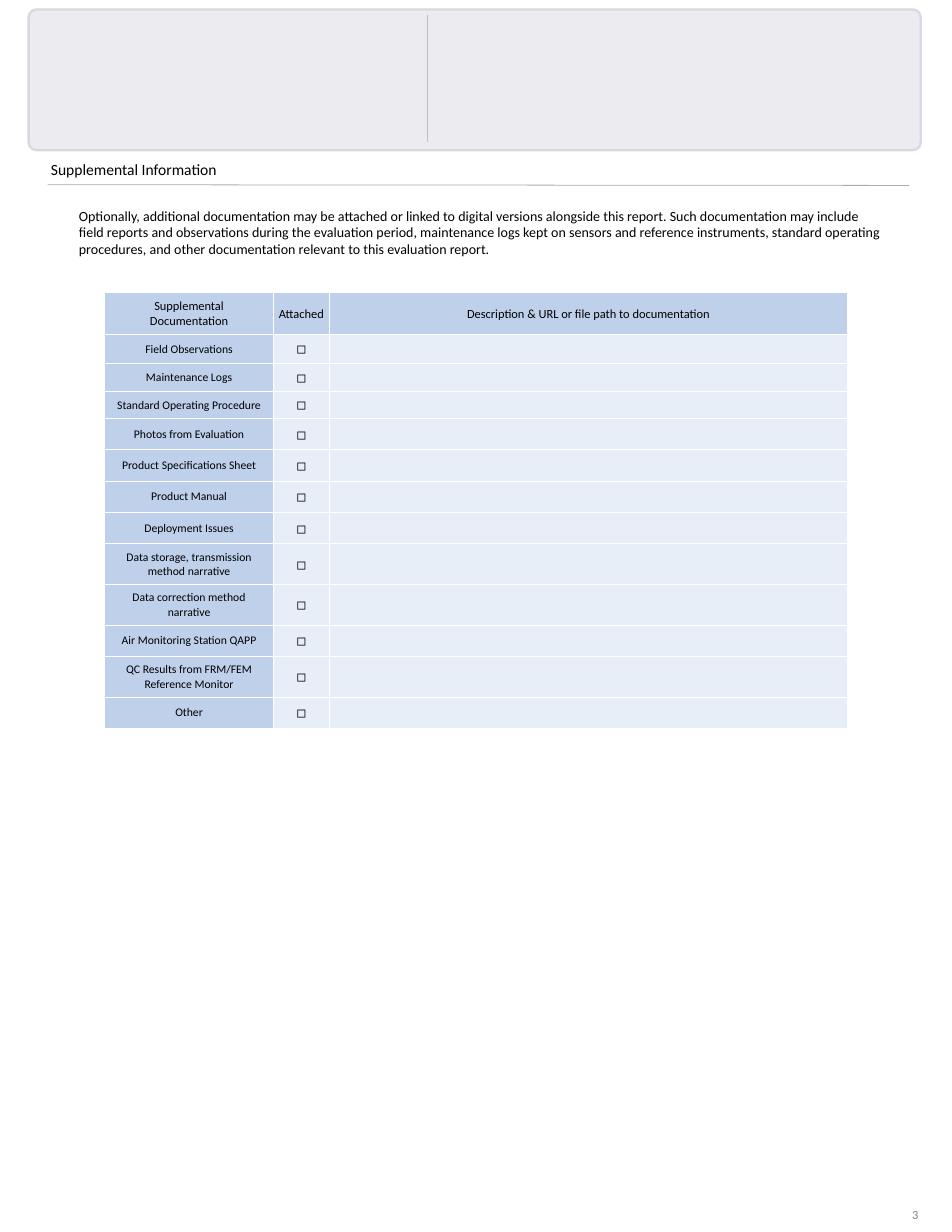
"""Build the supplemental information page of an evaluation report."""
from lxml.etree import SubElement
from pptx import Presentation
from pptx.dml.color import RGBColor
from pptx.enum.shapes import MSO_CONNECTOR, MSO_SHAPE
from pptx.enum.text import MSO_ANCHOR, PP_ALIGN
from pptx.oxml.ns import qn
from pptx.util import Cm, Pt

COLORS = {
    "banner": "ECECF0", "banner_edge": "D6D8E2", "divider": "BFBFBF",
    "rule": "AFABAB", "label": "BFD0EB", "entry": "E8EEF8",
    "border": "FFFFFF", "text": "000000", "page_number": "808080",
}
HEADINGS = ["Supplemental Documentation", "Attached",
            "Description & URL or file path to documentation"]
DOCUMENTS = [
    "Field Observations", "Maintenance Logs", "Standard Operating Procedure",
    "Photos from Evaluation", "Product Specifications Sheet", "Product Manual",
    "Deployment Issues", "Data storage, transmission method narrative",
    "Data correction method narrative", "Air Monitoring Station QAPP",
    "QC Results from FRM/FEM Reference Monitor", "Other",
]
CHECKBOX = "\u25fb"
INTRODUCTION = (
    "Optionally, additional documentation may be attached or linked to digital "
    "versions alongside this report. Such documentation may include field reports "
    "and observations during the evaluation period, maintenance logs kept on sensors "
    "and reference instruments, standard operating procedures, and other "
    "documentation relevant to this evaluation report."
)
COLUMN_WIDTHS = [7.65, 2.54, 23.5]
ROW_HEIGHTS = [1.85, 1.32, 1.27, 1.22] + [1.42] * 4 + [1.85] * 2 + [1.42, 1.85, 1.4]
WIDE_MARGINS = {"margin_left": Cm(0.56), "margin_right": Cm(0.56),
                "margin_top": Cm(0.28), "margin_bottom": Cm(0.28)}
TIGHT_MARGINS = {"margin_left": Cm(0.05), "margin_right": Cm(0.05),
                 "margin_top": Cm(0.05), "margin_bottom": Cm(0)}


def rgb(name):
    """Return the named colour."""
    return RGBColor.from_string(COLORS[name])


def apply(target, values):
    """Set each attribute in values on the target."""
    for attribute, value in values.items():
        setattr(target, attribute, value)


def write(frame, wording, size, color="text"):
    """Put one run of text in a frame and return its paragraph."""
    paragraph = frame.paragraphs[0]
    run = paragraph.add_run()
    run.text = wording
    apply(run.font, {"name": "Calibri", "size": Pt(size), "bold": False})
    run.font.color.rgb = rgb(color)
    return paragraph


def add_text(slide, box, wording, size, color="text"):
    """Add wrapped text in a box and return its paragraph."""
    frame = slide.shapes.add_textbox(*map(Cm, box)).text_frame
    frame.word_wrap = True
    return write(frame, wording, size, color)


def add_line(slide, start, end, color):
    """Draw a thin line without a shadow."""
    line = slide.shapes.add_connector(
        MSO_CONNECTOR.STRAIGHT, *map(Cm, (*start, *end)))
    line.line.color.rgb = rgb(color)
    line.line.width = Pt(1)
    SubElement(line._element.spPr, qn("a:effectLst"))


def add_banner(slide, box):
    """Add the rounded banner with its divider."""
    left, top, width, height = box
    banner = slide.shapes.add_shape(MSO_SHAPE.ROUNDED_RECTANGLE, *map(Cm, box))
    banner.shadow.inherit = False
    banner.adjustments[0] = 0.055
    banner.fill.solid()
    banner.fill.fore_color.rgb = rgb("banner")
    banner.line.color.rgb = rgb("banner_edge")
    banner.line.width = Pt(3)
    divider = left + 18.08
    add_line(slide, (divider, top + 0.23), (divider, top + height - 0.36), "divider")


def add_section(slide, box):
    """Add the section heading, its rule and the introduction."""
    left, top, width, height = box
    add_text(slide, (left, top, 8.03, 1.12), "Supplemental Information", 20)
    add_line(slide, (left + 0.1, top + 1.24), (left + 39.19, top + 1.27), "rule")
    introduction = add_text(
        slide, (left, top + 2.13, width, height - 2.13), INTRODUCTION, 18)
    introduction.level = 1
    apply_indent = introduction._p.get_or_add_pPr().set
    apply_indent("marL", str(Cm(1.27)))
    apply_indent("indent", "0")


def add_borders(cell):
    """Give a cell white borders on every side."""
    for side in ("lnL", "lnR", "lnT", "lnB"):
        border = SubElement(cell._tc.get_or_add_tcPr(), qn(f"a:{side}"), w=str(Pt(1.5)))
        fill = SubElement(border, qn("a:solidFill"))
        SubElement(fill, qn("a:srgbClr"), val=COLORS["border"])


def add_checklist(slide, box):
    """Add the table of supplemental documents."""
    rows = [HEADINGS] + [[document, CHECKBOX, ""] for document in DOCUMENTS]
    table = slide.shapes.add_table(len(rows), len(HEADINGS), *map(Cm, box)).table
    apply(table, {"first_row": False, "horz_banding": False})
    for column, width in zip(table.columns, COLUMN_WIDTHS):
        column.width = Cm(width)
    for r, (row, height, wordings) in enumerate(zip(table.rows, ROW_HEIGHTS, rows)):
        row.height = Cm(height)
        for c, (cell, wording) in enumerate(zip(row.cells, wordings)):
            add_borders(cell)
            cell.fill.solid()
            cell.fill.fore_color.rgb = rgb("label" if r == 0 or c == 0 else "entry")
            wide = c == 0 or wording == CHECKBOX and r == len(DOCUMENTS)
            apply(cell, WIDE_MARGINS if wide else TIGHT_MARGINS)
            cell.vertical_anchor = MSO_ANCHOR.MIDDLE
            if wording:
                size = 16 if r == 0 else 15 if c == 0 else 20
                write(cell.text_frame, wording, size).alignment = PP_ALIGN.CENTER


def add_page_number(slide, box):
    """Add the page number."""
    add_text(slide, box, "3", 16, "page_number")


def main():
    """Build and save the page."""
    deck = Presentation()
    apply(deck, {"slide_width": Cm(43.18), "slide_height": Cm(55.88)})
    slide = deck.slides.add_slide(deck.slide_layouts[6])
    add_banner(slide, (1.3, 0.43, 40.46, 6.38))
    add_section(slide, (2.06, 7.14, 38.15, 5.38))
    add_checklist(slide, (4.75, 13.26, sum(COLUMN_WIDTHS), sum(ROW_HEIGHTS)))
    add_page_number(slide, (41.12, 54.61, 2.06, 1.27))
    deck.save("out.pptx")


main()
